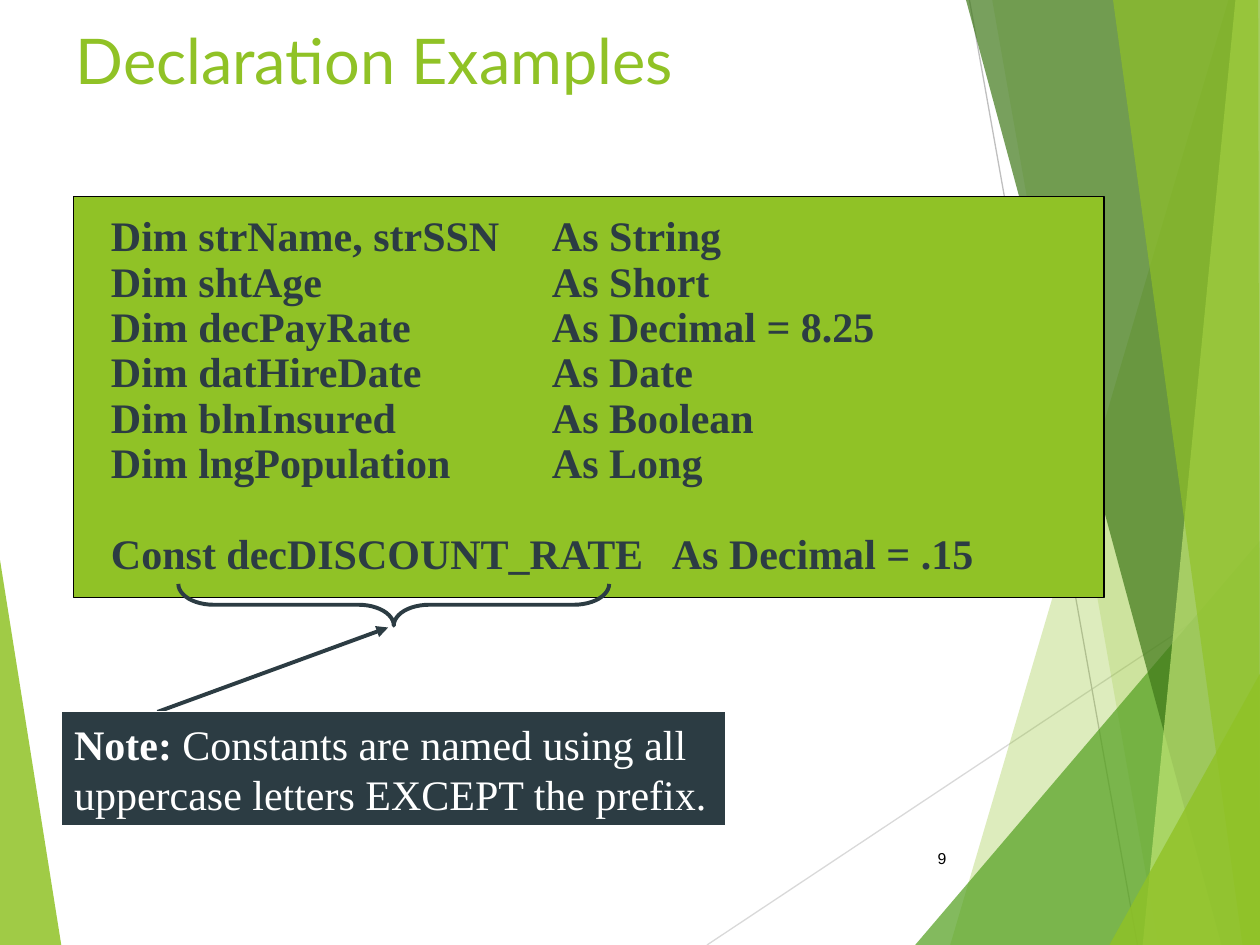
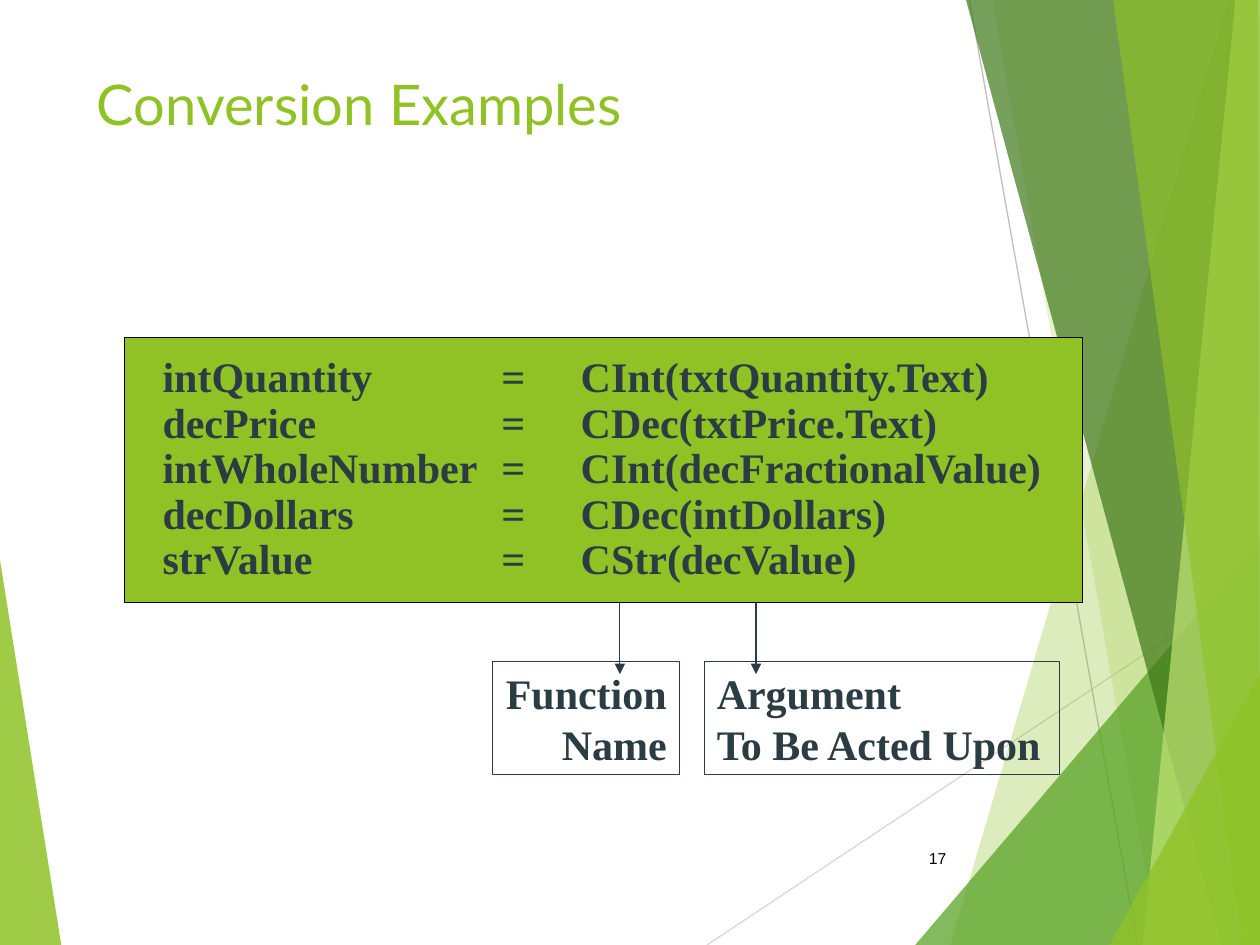
"""Build two slides of declaration and conversion examples on a green faceted theme."""
from dataclasses import dataclass

from lxml import etree
from pptx import Presentation
from pptx.dml.color import RGBColor
from pptx.enum.shapes import MSO_CONNECTOR, MSO_SHAPE
from pptx.enum.text import MSO_ANCHOR, MSO_AUTO_SIZE, PP_ALIGN
from pptx.oxml.ns import qn
from pptx.util import Pt

LEFT, RIGHT = PP_ALIGN.LEFT, PP_ALIGN.RIGHT
TOP, MIDDLE = MSO_ANCHOR.TOP, MSO_ANCHOR.MIDDLE
NO_AUTOFIT = MSO_AUTO_SIZE.NONE
STRAIGHT = MSO_CONNECTOR.STRAIGHT
RECTANGLE, RIGHT_BRACE = MSO_SHAPE.RECTANGLE, MSO_SHAPE.RIGHT_BRACE

WIDTH, HEIGHT = 720, 540
GREEN, SLATE, WHITE, BLACK = "90C226", "2C3C43", "FFFFFF", "000000"
TITLE_FONT, BODY_FONT, NUMBER_FONT = "Lato", "Times New Roman", "Arial"
BODY_SIZE = 24


@dataclass(frozen=True)
class Box:
    left: float
    top: float
    width: float
    height: float

    def lengths(self) -> tuple:
        return Pt(self.left), Pt(self.top), Pt(self.width), Pt(self.height)


@dataclass(frozen=True)
class Facet:
    color: str
    opacity: int
    corners: tuple


@dataclass(frozen=True)
class Stroke:
    start: tuple
    end: tuple
    color: str
    weight: float = 0.75
    arrow: bool = False


@dataclass(frozen=True)
class TextStyle:
    color: str = SLATE
    size: float = BODY_SIZE
    font: str = BODY_FONT
    bold: bool = True
    align: int = LEFT
    spacing: float = 1.0
    tabs: tuple = ()


BOTTOM_RIGHT, TOP_RIGHT = (WIDTH, HEIGHT), (WIDTH, 0)
LEFT_FACET = Facet(GREEN, 85, ((0, 320), (35, HEIGHT), (0, HEIGHT)))
RIGHT_FACETS = (
    Facet(GREEN, 30, ((702, 0), (543, HEIGHT), BOTTOM_RIGHT, TOP_RIGHT)),
    Facet(GREEN, 20, ((567, 0), (662, HEIGHT), BOTTOM_RIGHT, TOP_RIGHT)),
    Facet("54A021", 72, ((523, HEIGHT), (WIDTH, 309), BOTTOM_RIGHT)),
    Facet("3F7819", 70, ((552, 0), (698, HEIGHT), BOTTOM_RIGHT, TOP_RIGHT)),
    Facet("C0E474", 70, ((706, 0), (653, HEIGHT), BOTTOM_RIGHT, TOP_RIGHT)),
    Facet(GREEN, 65, ((636, 0), (710, HEIGHT), BOTTOM_RIGHT, (719, 0))),
    Facet(GREEN, 80, ((634, HEIGHT), (WIDTH, 385), BOTTOM_RIGHT)),
)
BACKGROUND_LINES = (
    Stroke((404, HEIGHT), (WIDTH, 330), "D9D9D9"),
    Stroke((554, 0), (650, HEIGHT), "BFBFBF"),
)
NUMBER_BOX = Box(507.6, 476, 40.3, 28.8)

DECLARATIONS = (
    "Dim strName, strSSN\tAs String",
    "Dim shtAge\tAs Short",
    "Dim decPayRate\tAs Decimal = 8.25",
    "Dim datHireDate\tAs Date",
    "Dim blnInsured\tAs Boolean",
    "Dim lngPopulation\tAs Long",
    "Const decDISCOUNT_RATE\tAs Decimal = .15",
)
CONVERSIONS = (
    ("intQuantity", "CInt(txtQuantity.Text)"),
    ("decPrice", "CDec(txtPrice.Text)"),
    ("intWholeNumber", "CInt(decFractionalValue)"),
    ("decDollars", "CDec(intDollars)"),
    ("strValue", "CStr(decValue)"),
)


def rgb(color: str) -> RGBColor:
    return RGBColor.from_string(color)


def draw_facet(slide, facet: Facet) -> None:
    builder = slide.shapes.build_freeform(*facet.corners[0], scale=Pt(1))
    builder.add_line_segments(facet.corners[1:], close=True)
    shape = builder.convert_to_shape()
    shape.shadow.inherit = False
    shape.fill.solid()
    shape.fill.fore_color.rgb = rgb(facet.color)
    shape.line.fill.background()
    tint = shape.element.spPr.find(qn("a:solidFill"))[0]
    etree.SubElement(tint, qn("a:alpha"), val=str(facet.opacity * 1000))


def draw_stroke(slide, stroke: Stroke) -> None:
    ends = [Pt(value) for value in stroke.start + stroke.end]
    connector = slide.shapes.add_connector(STRAIGHT, *ends)
    connector.line.color.rgb = rgb(stroke.color)
    connector.line.width = Pt(stroke.weight)
    properties = connector.element.spPr
    if stroke.arrow:
        etree.SubElement(properties.find(qn("a:ln")), qn("a:tailEnd"), type="triangle")
    etree.SubElement(properties, qn("a:effectLst"))


def style_paragraph(paragraph, style: TextStyle) -> None:
    if style.tabs:
        stops = etree.SubElement(paragraph._p.get_or_add_pPr(), qn("a:tabLst"))
        for position in style.tabs:
            etree.SubElement(stops, qn("a:tab"), pos=str(Pt(position)), algn="l")
    paragraph.alignment = style.align
    paragraph.line_spacing = style.spacing
    font = paragraph.font
    font.name, font.size, font.bold = style.font, Pt(style.size), style.bold
    font.color.rgb = rgb(style.color)


def write_lines(frame, lines: tuple, style: TextStyle, anchor: int = TOP,
                inset: tuple = (7.2, 3.6)) -> None:
    frame.word_wrap = True
    frame.auto_size = NO_AUTOFIT
    frame.vertical_anchor = anchor
    frame.margin_left = frame.margin_right = Pt(inset[0])
    frame.margin_top = frame.margin_bottom = Pt(inset[1])
    for index, line in enumerate(lines):
        paragraph = frame.add_paragraph() if index else frame.paragraphs[0]
        paragraph.text = line
        style_paragraph(paragraph, style)


def add_panel(slide, box: Box, line: str, fill: str = "", kind: int = RECTANGLE,
              weight: float = 0.75):
    panel = slide.shapes.add_shape(kind, *box.lengths())
    panel.shadow.inherit = False
    if fill:
        panel.fill.solid()
        panel.fill.fore_color.rgb = rgb(fill)
    else:
        panel.fill.background()
    panel.line.color.rgb = rgb(line)
    panel.line.width = Pt(weight)
    return panel


def add_code_panel(slide, box: Box, lines: tuple, tabs: tuple):
    panel = add_panel(slide, box, BLACK, GREEN)
    style = TextStyle(spacing=0.9, tabs=tabs)
    write_lines(panel.text_frame, lines, style, MIDDLE, (21.6, 10.8))
    return panel


def add_themed_slide(deck, title: str, title_box: Box, title_size: float, number: str):
    slide = deck.slides.add_slide(deck.slide_layouts[5])
    draw_facet(slide, LEFT_FACET)
    for stroke in BACKGROUND_LINES:
        draw_stroke(slide, stroke)
    for facet in RIGHT_FACETS:
        draw_facet(slide, facet)
    heading = slide.shapes.title
    heading.left, heading.top, heading.width, heading.height = title_box.lengths()
    write_lines(heading.text_frame, (title,),
                TextStyle(GREEN, title_size, TITLE_FONT, bold=False))
    page_number = slide.shapes.add_textbox(*NUMBER_BOX.lengths())
    write_lines(page_number.text_frame, (number,),
                TextStyle(BLACK, 9, NUMBER_FONT, bold=False, align=RIGHT), MIDDLE)
    return slide


def build_declarations(deck) -> None:
    slide = add_themed_slide(deck, "Declaration Examples",
                             Box(36, 8.6, 500, 80.6), 36, "9")
    code = add_code_panel(slide, Box(41.8, 112.3, 589, 229), DECLARATIONS, (252, 320.5))
    code.text_frame.paragraphs[-1].space_before = Pt(26)

    draw_stroke(slide, Stroke((90, 406.8), (221.8, 358.6), SLATE, 2.25, arrow=True))
    note = add_panel(slide, Box(35.3, 406.8, 379.4, 64.8), WHITE, SLATE)
    write_lines(note.text_frame, ("",), TextStyle(WHITE, bold=False))
    sentence = note.text_frame.paragraphs[0]
    lead = sentence.add_run()
    lead.text = "Note:"
    lead.font.bold = True
    sentence.add_run().text = (
        " Constants are named using all uppercase letters EXCEPT the prefix.")

    name_brace = add_panel(slide, Box(213.1, 222.5, 23.8, 246.2), SLATE,
                           kind=RIGHT_BRACE, weight=2.25)
    name_brace.adjustments[0] = 0.85
    name_brace.rotation = 90


def build_conversions(deck) -> None:
    slide = add_themed_slide(deck, "Conversion Examples",
                             Box(48.2, 36, 648, 72), 32, "17")
    for x in (354.2, 432):
        draw_stroke(slide, Stroke((x, 337), (x, 385.2), SLATE, arrow=True))
    callouts = (
        (Box(281.5, 378, 106.6, 64.8), ("Function", "Name"), RIGHT),
        (Box(402.5, 378, 203, 64.8), ("Argument", "To Be Acted Upon"), LEFT),
    )
    for box, lines, align in callouts:
        callout = add_panel(slide, box, SLATE)
        write_lines(callout.text_frame, lines, TextStyle(align=align))
    assignments = tuple("\t=\t".join(pair) for pair in CONVERSIONS)
    add_code_panel(slide, Box(71.3, 193, 547.2, 151.2), assignments, (193.7, 239))


def main() -> None:
    deck = Presentation()
    deck.slide_width, deck.slide_height = Pt(WIDTH), Pt(HEIGHT)
    build_declarations(deck)
    build_conversions(deck)
    deck.save("out.pptx")


if __name__ == "__main__":
    main()
